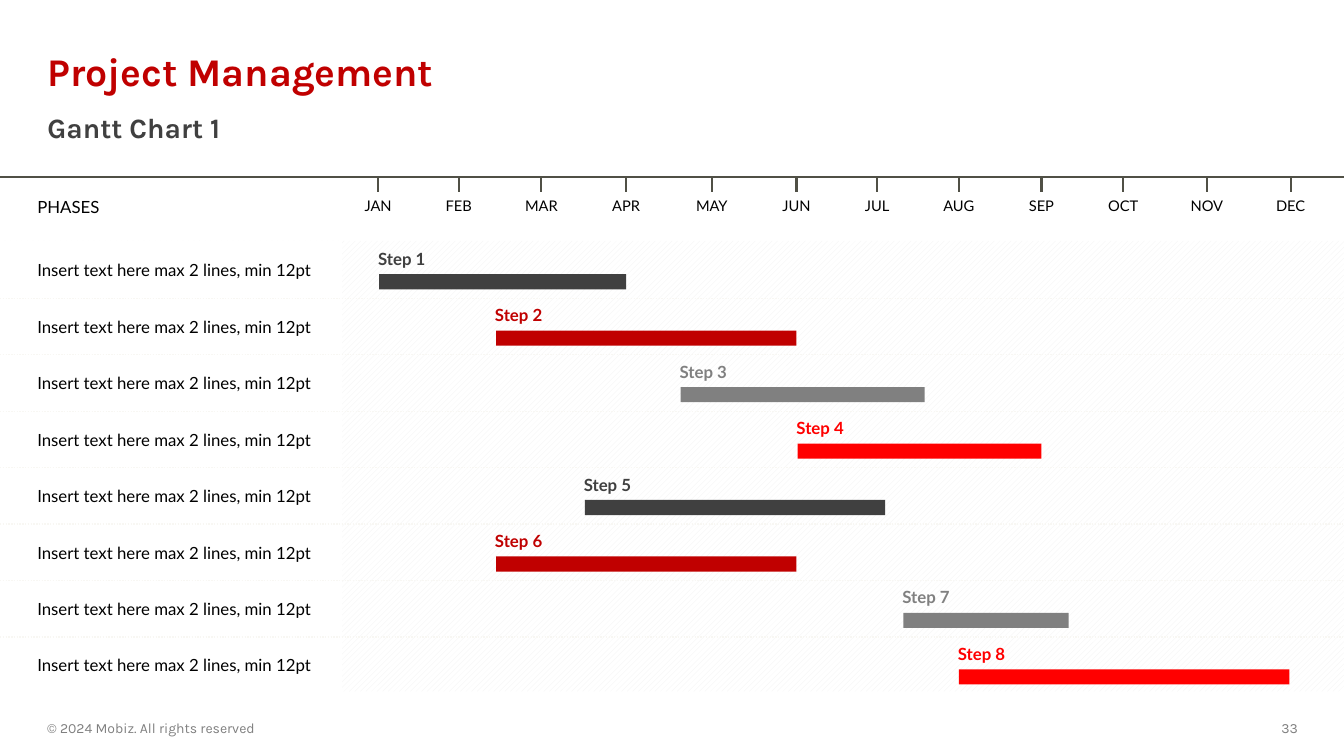
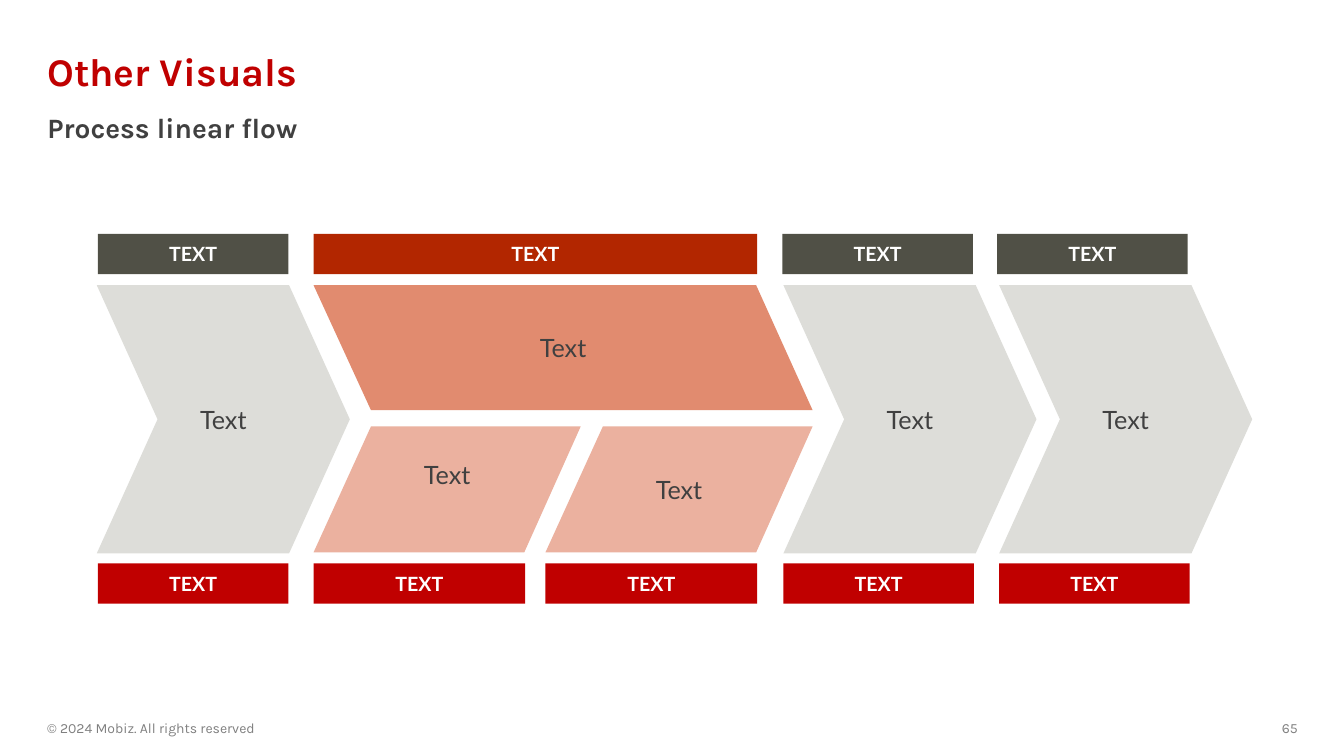
from dataclasses import dataclass

from lxml.etree import SubElement
from pptx import Presentation
from pptx.dml.color import RGBColor
from pptx.enum.dml import MSO_LINE, MSO_PATTERN
from pptx.enum.shapes import MSO_CONNECTOR, MSO_SHAPE
from pptx.enum.text import MSO_ANCHOR, MSO_AUTO_SIZE, PP_ALIGN
from pptx.oxml.ns import qn
from pptx.util import Inches, Pt

OWNER = "© 2024 Mobiz. All rights reserved"
GANTT = {"title": "Project Management", "sub": "Gantt Chart 1", "page": "33"}
FLOW = {"title": "Other Visuals", "sub": "Process linear flow", "page": "65"}

MONTHS = [
    ("JAN", 3.75), ("FEB", 4.55), ("MAR", 5.37), ("APR", 6.21),
    ("MAY", 7.06), ("JUN", 7.9), ("JUL", 8.7), ("AUG", 9.51),
    ("SEP", 10.33), ("OCT", 11.14), ("NOV", 11.97), ("DEC", 12.8),
]
PHASE = "Insert text here max 2 lines, min 12pt"
STEPS = [
    ("Step 1", 3.76, 2.45), ("Step 2", 4.92, 2.98),
    ("Step 3", 6.75, 2.42), ("Step 4", 7.91, 2.42),
    ("Step 5", 5.8, 2.98), ("Step 6", 4.92, 2.98),
    ("Step 7", 8.96, 1.64), ("Step 8", 9.51, 3.28),
]

CHEVRONS = [0.96, 7.77, 9.91]
HEADS = [
    (0.97, 1.89, "stone"), (3.11, 4.4, "rust"),
    (7.76, 1.89, "stone"), (9.89, 1.89, "stone"),
]
FEET = [(0.97, 1.89), (3.11, 2.1), (5.41, 2.1), (7.77, 1.89), (9.91, 1.89)]
SLANTS = [
    ("coral", 0.05, [(3.11, 2.83), (7.5, 2.83), (8.06, 4.07), (3.68, 4.07)]),
    ("blush", 0.35, [(3.68, 4.23), (5.76, 4.23), (5.2, 5.48), (3.11, 5.48)]),
    ("blush", 0.05, [(5.98, 4.23), (8.06, 4.23), (7.5, 5.48), (5.41, 5.48)]),
]


@dataclass(frozen=True)
class Theme:
    head: str = "Karla"
    body: str = "Lato"
    red: str = "C00000"
    bright: str = "FF0000"
    dark: str = "404040"
    grey: str = "808080"
    black: str = "000000"
    white: str = "FFFFFF"
    stone: str = "505046"
    rust: str = "B22600"
    coral: str = "E18B6F"
    blush: str = "EBB19F"
    mist: str = "DDDDD9"
    hatch: str = "F2F2F2"
    rule: str = "F8F7F3"
    title: float = 28
    sub: float = 20
    large: float = 18
    label: float = 14
    text: float = 12
    month: float = 10.5
    note: float = 10


T = Theme()
WIDE, LEFT, FULL = 13.33, 0.37, 12.6
TOP, ROW, AXIS = 2.4, 0.56, 1.76


def paint(name):
    return RGBColor.from_string(getattr(T, name))


def write(shape, text, size, tint, font=T.body, bold=False,
          align=PP_ALIGN.LEFT, anchor=MSO_ANCHOR.MIDDLE, pad=None):
    frame = shape.text_frame
    frame.word_wrap = True
    frame.auto_size = MSO_AUTO_SIZE.NONE
    frame.vertical_anchor = anchor
    if pad is not None:
        frame.margin_left = frame.margin_right = Inches(pad)
        frame.margin_top = frame.margin_bottom = Inches(pad)
    para = frame.paragraphs[0]
    para.alignment = align
    run = para.add_run()
    run.text = text
    run.font.name = font
    run.font.size = Pt(size)
    run.font.bold = bold
    run.font.color.rgb = paint(tint)
    return para


def note(slide, box, text, size, tint, **style):
    shape = slide.shapes.add_textbox(*map(Inches, box))
    write(shape, text, size, tint, **style)


def fill(shape, tint):
    shape.shadow.inherit = False
    shape.fill.solid()
    shape.fill.fore_color.rgb = paint(tint)
    shape.line.fill.background()
    return shape


def block(slide, box, tint, kind=MSO_SHAPE.RECTANGLE):
    return fill(slide.shapes.add_shape(kind, *map(Inches, box)), tint)


def line(slide, start, end, tint, width, dash=None):
    ends = map(Inches, (*start, *end))
    link = slide.shapes.add_connector(MSO_CONNECTOR.STRAIGHT, *ends)
    link.line.color.rgb = paint(tint)
    link.line.width = Pt(width)
    if dash:
        link.line.dash_style = dash
    SubElement(link._element.spPr, qn("a:effectLst"))


def place(shape, box):
    shape.left, shape.top, shape.width, shape.height = map(Inches, box)


def start(deck, data):
    slide = deck.slides.add_slide(deck.slide_layouts[1])
    title, sub = slide.placeholders
    place(title, (LEFT, 0.4, FULL, 0.67))
    place(sub, (LEFT, 1.08, FULL, 0.47))
    para = write(title, data["title"], T.title, "red", T.head, True)
    para.line_spacing = 0.9
    para = write(sub, data["sub"], T.sub, "dark", T.head, True,
                 anchor=MSO_ANCHOR.TOP)
    props = para._p.get_or_add_pPr()
    props.set("marL", "0")
    props.set("indent", "0")
    SubElement(props, qn("a:buNone"))
    para.line_spacing = 0.9
    para.space_before = Pt(0)
    note(slide, (LEFT, 7.1, 4.5, 0.25), OWNER, T.note, "grey", font=T.head)
    note(slide, (11.75, 7.1, 1.22, 0.25), data["page"], T.note, "grey",
         font=T.head, align=PP_ALIGN.RIGHT)
    return slide


def gantt(deck):
    slide = start(deck, GANTT)
    grid = block(slide, (0, 2.39, WIDE, 4.47), "white")
    grid.fill.patterned()
    grid.fill.pattern = MSO_PATTERN.WIDE_UPWARD_DIAGONAL
    grid.fill.fore_color.rgb = paint("hatch")
    grid.fill.back_color.rgb = paint("white")
    block(slide, (0, 2.39, 3.39, 4.5), "white")

    line(slide, (0, AXIS), (WIDE, AXIS), "stone", 1.5)
    for month, x in MONTHS:
        line(slide, (x, AXIS), (x, 1.9), "stone", 1.5)
        note(slide, (x - 0.25, 2.01, 0.5, 0.12), month, T.month, "black",
             align=PP_ALIGN.CENTER, anchor=MSO_ANCHOR.BOTTOM, pad=0)
    note(slide, (LEFT, 1.95, 2.72, 0.3), "PHASES", T.text, "black",
         anchor=MSO_ANCHOR.TOP, pad=0)

    tints = ("dark", "red", "grey", "bright")
    for i, (name, x, width) in enumerate(STEPS):
        y = TOP + i * ROW
        tint = tints[i % len(tints)]
        if i:
            line(slide, (0, y), (WIDE, y), "rule", 1, MSO_LINE.ROUND_DOT)
        note(slide, (LEFT, y, 2.84, ROW), PHASE, T.text, "black", pad=0)
        block(slide, (x, y + 0.32, width, 0.15), tint)
        note(slide, (x - 0.01, y + 0.09, 2.76, 0.15), name, T.text, tint,
             bold=True, pad=0)


def flow(deck):
    slide = start(deck, FLOW)
    for x in CHEVRONS:
        shape = block(slide, (x, 2.83, 2.51, 2.66), "mist", MSO_SHAPE.CHEVRON)
        shape.adjustments[0] = 0.24
        write(shape, "Text", T.large, "dark", align=PP_ALIGN.CENTER)

    for tint, base, points in SLANTS:
        first, *rest = [tuple(map(Inches, point)) for point in points]
        pen = slide.shapes.build_freeform(*first)
        pen.add_line_segments(rest, close=True)
        shape = fill(pen.convert_to_shape(), tint)
        write(shape, "Text", T.large, "dark", align=PP_ALIGN.CENTER)
        shape.text_frame.margin_bottom = Inches(base)

    tags = [(x, 2.32, width, tint) for x, width, tint in HEADS]
    tags += [(x, 5.59, width, "red") for x, width in FEET]
    for x, y, width, tint in tags:
        shape = block(slide, (x, y, width, 0.4), tint)
        write(shape, "TEXT", T.label, "white", bold=True,
              align=PP_ALIGN.CENTER)


def main():
    deck = Presentation()
    deck.slide_width = Inches(WIDE)
    deck.slide_height = Inches(7.5)
    gantt(deck)
    flow(deck)
    deck.save("out.pptx")


if __name__ == "__main__":
    main()
